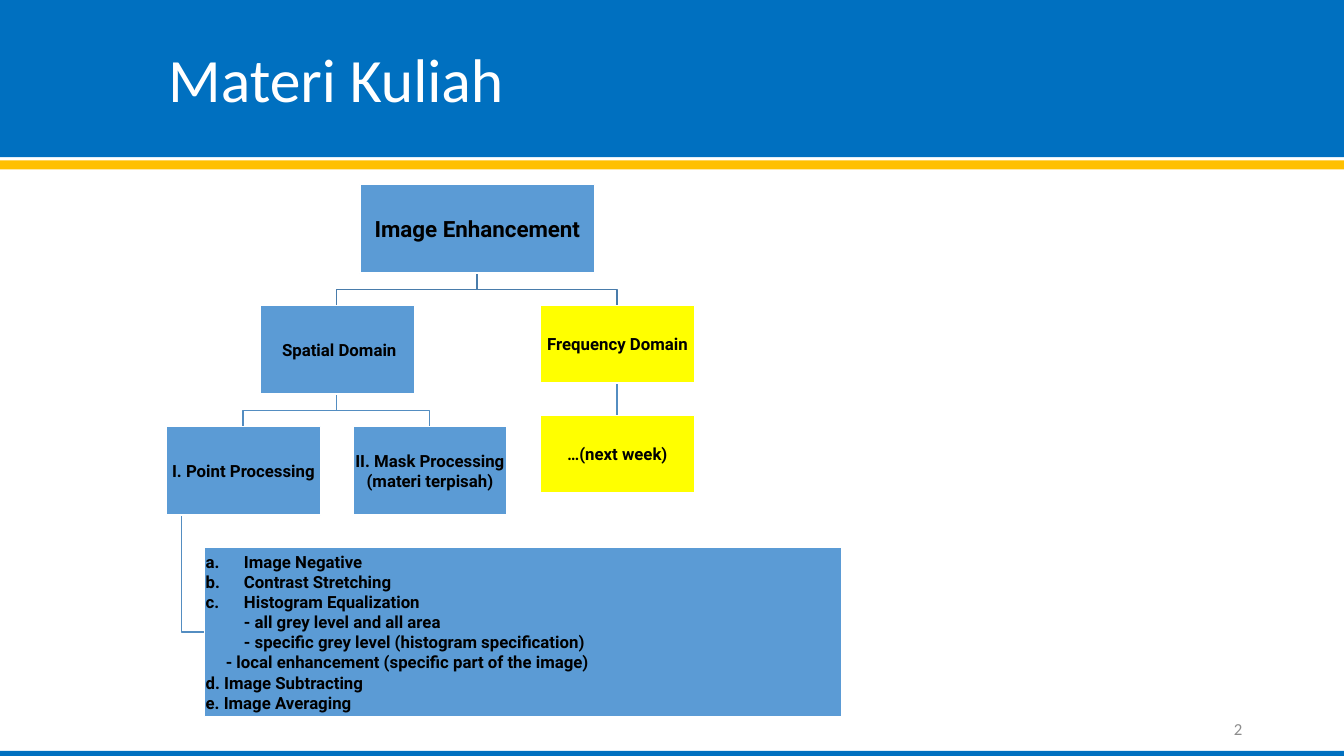
from dataclasses import dataclass

from lxml.etree import SubElement
from pptx import Presentation
from pptx.dml.color import RGBColor
from pptx.enum.shapes import MSO_CONNECTOR, MSO_SHAPE
from pptx.enum.text import MSO_ANCHOR, PP_ALIGN
from pptx.oxml.ns import qn
from pptx.util import Pt

PX = 9144  # 100 px to the inch
COLORS = {
    "band": "0070C0", "gold": "FFC000", "blue": "5B9BD5", "yellow": "FFFF00",
    "white": "FFFFFF", "black": "000000", "gray": "8C8C8C",
    "root_link": "497CAB", "link": "538DC1",
}


@dataclass(frozen=True)
class Line:
    text: str
    indent: int = 0
    numbered: bool = False
    lead: str = ""  # opening characters set in Calibri


@dataclass(frozen=True)
class Box:
    left: int
    top: int
    width: int
    height: int
    lines: tuple[Line, ...] = ()
    fill: str = "blue"
    size: int = 12
    align: PP_ALIGN = PP_ALIGN.CENTER

    @property
    def center(self) -> int:
        return self.left + self.width // 2

    @property
    def middle(self) -> int:
        return self.top + self.height // 2

    @property
    def bottom(self) -> int:
        return self.top + self.height


BANDS = (
    Box(0, 0, 1333, 156, fill="band"),
    Box(0, 159, 1333, 9, fill="gold"),
    Box(0, 745, 1333, 5, fill="band"),
)
ENHANCEMENT = Box(357, 183, 233, 88, (Line("Image Enhancement"),), size=16)
SPATIAL = Box(258, 303, 153, 88, (Line(" Spatial Domain"),))
FREQUENCY = Box(536, 303, 153, 77, (Line("Frequency Domain"),), "yellow")
POINT = Box(165, 423, 153, 88, (Line("I. Point Processing"),))
MASK = Box(350, 423, 153, 88, (Line("II. Mask Processing"), Line("(materi terpisah)")))
NEXT_WEEK = Box(536, 412, 153, 77, (Line("(next week)", lead="…"),), "yellow")
METHODS = Box(203, 543, 632, 168, (
    Line("Image Negative", 38, True),
    Line("Contrast Stretching", 38, True),
    Line("Histogram Equalization", 38, True),
    Line("- all grey level and all area", 38),
    Line("- specific grey level (histogram specification)", 38),
    Line("- local enhancement (specific part of the image)", 20),
    Line("d. Image Subtracting"),
    Line("e. Image Averaging"),
), align=PP_ALIGN.LEFT)
TREE_BOXES = (ENHANCEMENT, SPATIAL, POINT, METHODS, MASK, FREQUENCY, NEXT_WEEK)
LINKS = (
    (FREQUENCY, NEXT_WEEK, "link"),
    (ENHANCEMENT, FREQUENCY, "root_link"),
    (SPATIAL, MASK, "link"),
    (SPATIAL, POINT, "link"),
    (ENHANCEMENT, SPATIAL, "root_link"),
)


def rgb(name: str) -> RGBColor:
    return RGBColor.from_string(COLORS[name])


def add_rectangle(slide, box: Box):
    shape = slide.shapes.add_shape(
        MSO_SHAPE.RECTANGLE, *(n * PX for n in (box.left, box.top, box.width, box.height)))
    shape.shadow.inherit = False
    shape.fill.solid()
    shape.fill.fore_color.rgb = rgb(box.fill)
    shape.line.fill.background()
    return shape


def write_line(paragraph, line: Line, box: Box) -> None:
    paragraph.alignment = box.align
    paragraph.font.size = Pt(box.size)
    paragraph.font.bold = True
    paragraph.font.name = "Roboto"
    paragraph.font.color.rgb = rgb("black")
    if line.lead:
        lead = paragraph.add_run()
        lead.text = line.lead
        lead.font.name = "Calibri"
    paragraph.add_run().text = line.text
    properties = paragraph._p.get_or_add_pPr()
    properties.set("marL", str(line.indent * PX))
    properties.set("indent", str(-line.indent * PX if line.numbered else 0))
    if line.numbered:
        bullet = SubElement(properties, qn("a:buAutoNum"), type="alphaLcPeriod")
        properties.find(qn("a:defRPr")).addprevious(bullet)


def add_tree_box(slide, box: Box) -> None:
    shape = add_rectangle(slide, box)
    shape.line.color.rgb = rgb("white")
    shape.line.width = Pt(1)
    frame = shape.text_frame
    frame.word_wrap = True
    frame.vertical_anchor = MSO_ANCHOR.MIDDLE
    frame.margin_left = frame.margin_right = frame.margin_top = frame.margin_bottom = PX
    for index, line in enumerate(box.lines):
        paragraph = frame.add_paragraph() if index else frame.paragraphs[0]
        write_line(paragraph, line, box)


def add_polyline(slide, points: list[tuple[int, int]], color: str) -> None:
    """Draw two points as a connector, more as an open freeform."""
    if len(points) == 2:
        ends = (n * PX for point in points for n in point)
        shape = slide.shapes.add_connector(MSO_CONNECTOR.STRAIGHT, *ends)
        SubElement(shape._element.spPr, qn("a:effectLst"))
    else:
        builder = slide.shapes.build_freeform(*points[0], scale=PX)
        builder.add_line_segments(points[1:], close=False)
        shape = builder.convert_to_shape()
        shape.shadow.inherit = False
        shape.fill.background()
    shape.line.color.rgb = rgb(color)
    shape.line.width = Pt(1)


def link_down(slide, parent: Box, child: Box, color: str) -> None:
    start, end = (parent.center, parent.bottom), (child.center, child.top)
    turn = (parent.bottom + child.top) // 2
    bends = [] if start[0] == end[0] else [(start[0], turn), (end[0], turn)]
    add_polyline(slide, [start, *bends, end], color)


def add_label(slide, box: Box, text: str, color: str, spacing: float) -> None:
    label = slide.shapes.add_textbox(
        *(n * PX for n in (box.left, box.top, box.width, box.height)))
    frame = label.text_frame
    frame.word_wrap = True
    frame.vertical_anchor = MSO_ANCHOR.MIDDLE
    paragraph = frame.paragraphs[0]
    paragraph.text = text
    paragraph.alignment = box.align
    paragraph.line_spacing = spacing
    paragraph.font.size = Pt(box.size)
    paragraph.font.name = "Calibri"
    paragraph.font.color.rgb = rgb(color)


def main() -> None:
    presentation = Presentation()
    presentation.slide_width = 1333 * PX
    presentation.slide_height = 750 * PX
    slide = presentation.slides.add_slide(presentation.slide_layouts[6])
    for band in BANDS:
        add_rectangle(slide, band)
    title = Box(157, 18, 1127, 128, size=44, align=PP_ALIGN.LEFT)
    add_label(slide, title, "Materi Kuliah", "white", 0.9)
    for parent, child, color in LINKS:
        link_down(slide, parent, child, color)
    hang = POINT.left + 15
    add_polyline(slide, [(hang, POINT.bottom), (hang, METHODS.middle),
                         (METHODS.left, METHODS.middle)], "link")
    for box in TREE_BOXES:
        add_tree_box(slide, box)
    number = Box(942, 703, 300, 40, align=PP_ALIGN.RIGHT)
    add_label(slide, number, "2", "gray", 1.0)
    presentation.save("out.pptx")


if __name__ == "__main__":
    main()
